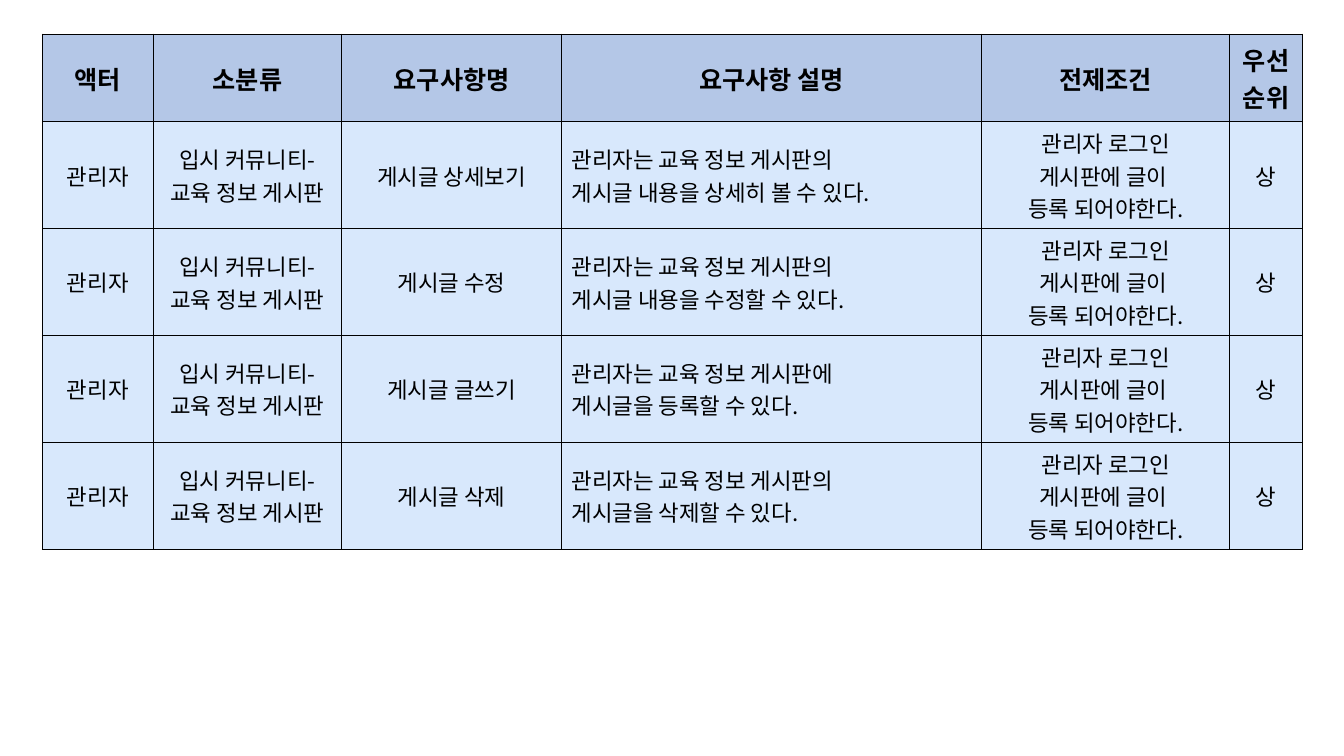
"""Build the slide with the requirements table of the education board."""
from dataclasses import dataclass

from lxml.etree import SubElement
from pptx import Presentation
from pptx.dml.color import RGBColor
from pptx.enum.text import MSO_ANCHOR, PP_ALIGN
from pptx.oxml.ns import qn
from pptx.table import _Cell
from pptx.util import Cm, Pt

FONT = "Noto Sans CJK KR"
COLORS = {"head": "B4C7E7", "body": "D8E8FC", "ink": "000000"}
FORMATS = {
    "head": {"name": FONT, "size": Pt(18), "bold": True},
    "body": {"name": FONT, "size": Pt(16), "bold": False},
}
HEIGHTS = (2.21, 1.93, 2.21, 2.21, 2.21)


@dataclass(frozen=True)
class Column:
    title: str
    width: float
    align: PP_ALIGN = PP_ALIGN.CENTER


@dataclass(frozen=True)
class Need:
    name: str
    about: str
    actor: str = "관리자"
    group: str = "입시 커뮤니티-\n교육 정보 게시판"
    given: str = "관리자 로그인\n게시판에 글이 \n등록 되어야한다."
    rank: str = "상"

    def texts(self) -> tuple[str, ...]:
        return (self.actor, self.group, self.name,
                self.about, self.given, self.rank)


COLUMNS = (
    Column("액터", 2.79),
    Column("소분류", 4.75),
    Column("요구사항명", 5.54),
    Column("요구사항 설명", 10.59, PP_ALIGN.LEFT),
    Column("전제조건", 6.25),
    Column("우선순위", 1.83),
)
NEEDS = (
    Need("게시글 상세보기", "관리자는 교육 정보 게시판의\n게시글 내용을 상세히 볼 수 있다."),
    Need("게시글 수정", "관리자는 교육 정보 게시판의\n게시글 내용을 수정할 수 있다."),
    Need("게시글 글쓰기", "관리자는 교육 정보 게시판에\n게시글을 등록할 수 있다."),
    Need("게시글 삭제", "관리자는 교육 정보 게시판의\n게시글을 삭제할 수 있다."),
)


def frame(cell: _Cell) -> None:
    props = cell._tc.get_or_add_tcPr()
    for side in "LRTB":
        line = SubElement(props, qn(f"a:ln{side}"), w=str(Pt(1)))
        fill = SubElement(line, qn("a:solidFill"))
        SubElement(fill, qn("a:srgbClr"), val=COLORS["ink"])


def write(cell: _Cell, text: str, kind: str, align: PP_ALIGN) -> None:
    frame(cell)
    cell.fill.solid()
    cell.fill.fore_color.rgb = RGBColor.from_string(COLORS[kind])
    cell.vertical_anchor = MSO_ANCHOR.MIDDLE
    cell.text_frame.text = text
    for para in cell.text_frame.paragraphs:
        para.alignment = align
        for run in para.runs:
            for key, value in FORMATS[kind].items():
                setattr(run.font, key, value)
            run.font.color.rgb = RGBColor.from_string(COLORS["ink"])
            SubElement(run._r.get_or_add_rPr(), qn("a:ea"), typeface=FONT)


def main() -> None:
    deck = Presentation()
    deck.slide_width, deck.slide_height = Cm(33.87), Cm(19.05)
    slide = deck.slides.add_slide(deck.slide_layouts[6])
    width = sum(col.width for col in COLUMNS)
    table = slide.shapes.add_table(
        len(HEIGHTS), len(COLUMNS), Cm(1.07), Cm(0.86),
        Cm(width), Cm(sum(HEIGHTS))).table
    table.horz_banding = False
    for row, height in zip(table.rows, HEIGHTS):
        row.height = Cm(height)
    for x, col in enumerate(COLUMNS):
        table.columns[x].width = Cm(col.width)
        write(table.cell(0, x), col.title, "head", PP_ALIGN.CENTER)
        for y, need in enumerate(NEEDS, 1):
            write(table.cell(y, x), need.texts()[x], "body", col.align)
    deck.save("out.pptx")


if __name__ == "__main__":
    main()
